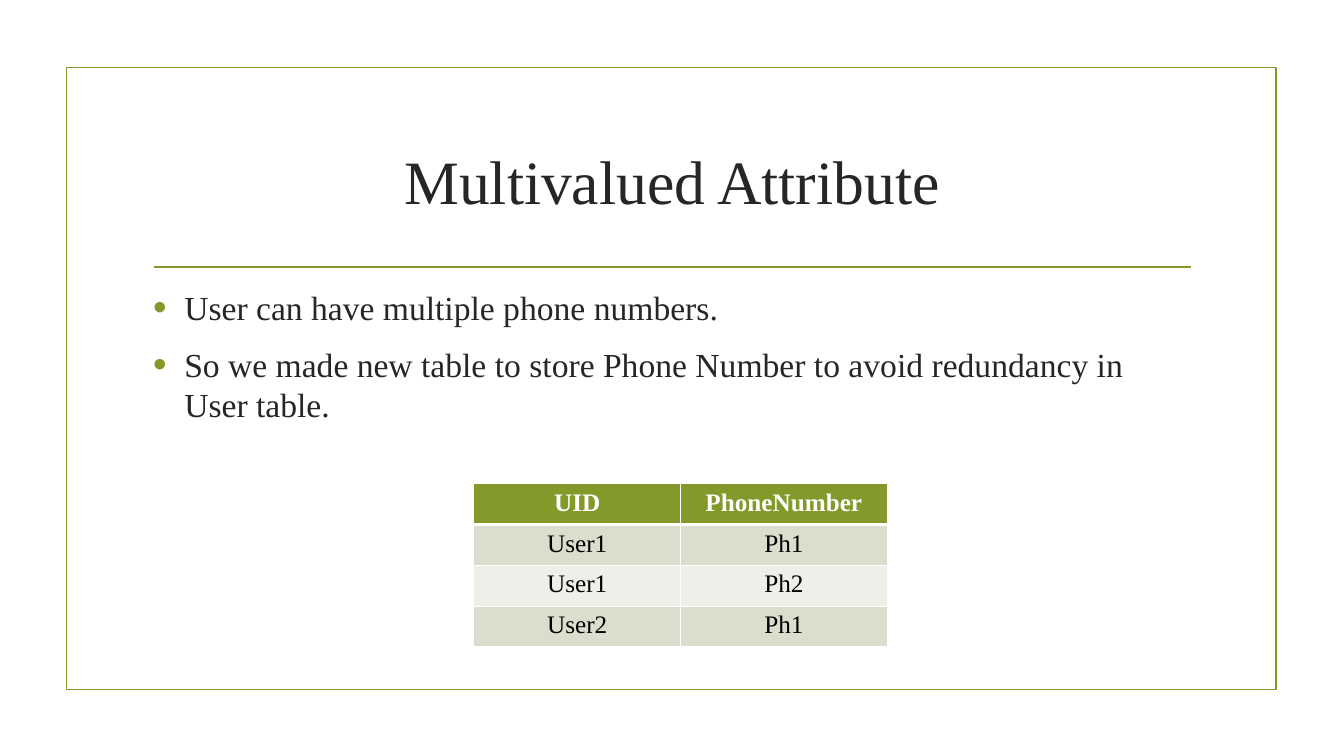
"""Slide on a multivalued attribute: two bullets and a phone number table."""
from lxml import etree
from pptx import Presentation
from pptx.dml.color import RGBColor
from pptx.enum.shapes import MSO_CONNECTOR, MSO_SHAPE
from pptx.enum.text import MSO_ANCHOR, PP_ALIGN
from pptx.oxml.ns import qn
from pptx.util import Inches, Pt

COLORS = {"green": "83992A", "text": "262626", "white": "FFFFFF",
          "black": "000000", "band_dark": "D9DECD", "band_light": "EDEFE8"}
FONT = "Times New Roman"


def rgb(name):
    return RGBColor.from_string(COLORS[name])


def add_run(p, text, size, color, bold=False):
    r = p.add_run()
    r.text = text
    r.font.name = FONT
    r.font.size = Pt(size)
    r.font.bold = bold
    r.font.color.rgb = rgb(color)


prs = Presentation()
prs.slide_width, prs.slide_height = Inches(13.33), Inches(7.5)
s = prs.slides.add_slide(prs.slide_layouts[6])

frame = s.shapes.add_shape(MSO_SHAPE.RECTANGLE, Inches(0.66), Inches(0.67), Inches(12), Inches(6.17))
frame.shadow.inherit = False
frame.fill.background()
rule = s.shapes.add_connector(MSO_CONNECTOR.STRAIGHT, Inches(1.53), Inches(2.65), Inches(11.81), Inches(2.65))
etree.SubElement(rule._element.spPr, qn("a:effectLst"))
for sp in (frame, rule):
    sp.line.color.rgb = rgb("green")
    sp.line.width = Pt(1.25)
etree_effects = rule._element.spPr.find(qn("a:effectLst"))
rule._element.spPr.append(etree_effects)

title = s.shapes.add_textbox(Inches(1.42), Inches(1.07), Inches(10.5), Inches(1.43))
tf = title.text_frame
tf.word_wrap = True
tf.vertical_anchor = MSO_ANCHOR.MIDDLE
p = tf.paragraphs[0]
p.alignment = PP_ALIGN.CENTER
add_run(p, "Multivalued Attribute", 44, "text")

body = s.shapes.add_textbox(Inches(1.42), Inches(2.8), Inches(10.23), Inches(3.62))
tf = body.text_frame
tf.word_wrap = True
bullets = ["User can have multiple phone numbers.",
           "So we made new table to store Phone Number to avoid redundancy in User table."]
for i, text in enumerate(bullets):
    p = tf.add_paragraph() if i else tf.paragraphs[0]
    p.space_before, p.space_after = Pt(5.5), Pt(6)
    add_run(p, text, 24, "text")
    pPr = p._p.get_or_add_pPr()
    pPr.set("marL", str(Inches(0.31)))
    pPr.set("indent", str(-Inches(0.31)))
    color = etree.SubElement(pPr, qn("a:buClr"))
    etree.SubElement(color, qn("a:srgbClr"), val=COLORS["green"])
    etree.SubElement(pPr, qn("a:buSzPct"), val="115000")
    etree.SubElement(pPr, qn("a:buFont"), typeface="Arial")
    etree.SubElement(pPr, qn("a:buChar"), char="•")

rows = [("UID", "PhoneNumber"), ("User1", "Ph1"), ("User1", "Ph2"), ("User2", "Ph1")]
table = s.shapes.add_table(len(rows), 2, Inches(4.7), Inches(4.8), Inches(4.1), Inches(1.62)).table
for i, row in enumerate(rows):
    table.rows[i].height = Inches(1.62 / len(rows))
    header = i == 0
    fill = "green" if header else "band_dark" if i % 2 else "band_light"
    for j, text in enumerate(row):
        cell = table.cell(i, j)
        p = cell.text_frame.paragraphs[0]
        p.alignment = PP_ALIGN.CENTER
        add_run(p, text, 18, "white" if header else "black", header)
        tcPr = cell._tc.get_or_add_tcPr()
        for side in ("lnL", "lnR", "lnT", "lnB"):
            thick = (i, side) in ((0, "lnB"), (1, "lnT"))
            ln = etree.SubElement(tcPr, qn(f"a:{side}"), w=str(Pt(3 if thick else 1)))
            border = etree.SubElement(ln, qn("a:solidFill"))
            etree.SubElement(border, qn("a:srgbClr"), val=COLORS["white"])
        cell.fill.solid()
        cell.fill.fore_color.rgb = rgb(fill)

prs.save("out.pptx")
